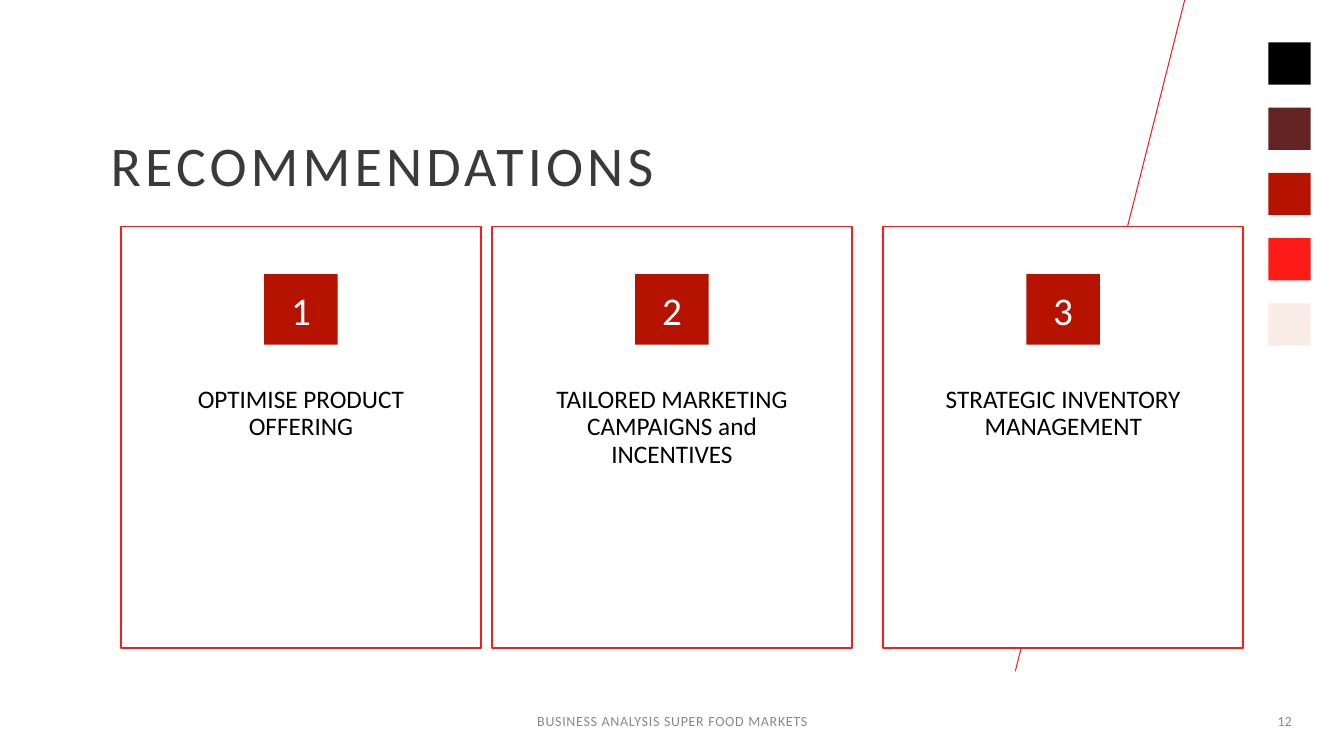
from pptx import Presentation, util as u
from pptx.dml.color import RGBColor
from pptx.enum import shapes, text
from pptx.oxml.ns import qn
from lxml import etree

# Content
TITLE = "RECOMMENDATIONS"
FOOTER = "BUSINESS ANALYSIS SUPER FOOD MARKETS"
PAGE = "12"
CARDS = [  # left edge, text
    (1.2, "OPTIMISE PRODUCT OFFERING"),
    (4.88, "TAILORED MARKETING CAMPAIGNS and INCENTIVES"),
    (8.76, "STRATEGIC INVENTORY MANAGEMENT"),
]
SWATCHES = ["000000", "632423", "B51200", "FD1B17", "F9EBE5"]

# Formats
RED, DARK_RED, WHITE, GREY = "FD1B17", "B51200", "FFFFFF", "898989"
ALIGN = text.PP_ALIGN
TITLE_FORMAT = {"size": 40, "color": "3A3A3A", "tracking": 3, "line_spacing": 0.9}
FOOTER_FORMAT = {"size": 10, "color": GREY, "tracking": 0.5, "alignment": ALIGN.CENTER}
PAGE_FORMAT = {"size": 10, "color": GREY, "alignment": ALIGN.RIGHT}
NUMBER_FORMAT = {"size": 28, "color": WHITE, "alignment": ALIGN.CENTER}
CARD_FORMAT = {"size": 18, "color": "000000", "alignment": ALIGN.CENTER,
               "line_spacing": 0.9, "anchor": text.MSO_ANCHOR.TOP}

# Card layout
CARD_TOP, CARD_WIDTH, CARD_HEIGHT = 2.25, 3.57, 4.18
BADGE_TOP, BADGE_WIDTH, BADGE_HEIGHT = 2.72, 0.73, 0.7
LABEL_TOP, LABEL_WIDTH, LABEL_HEIGHT = 3.79, 2.75, 1.06

presentation = Presentation()
presentation.slide_width = u.Inches(13.33)
presentation.slide_height = u.Inches(7.5)
slide = presentation.slides.add_slide(presentation.slide_layouts[6])


def color(hex_value):
    return RGBColor.from_string(hex_value)


def add_box(left, top, width, height, fill, line=None):
    shape = slide.shapes.add_shape(shapes.MSO_SHAPE.RECTANGLE,
                                   *map(u.Inches, (left, top, width, height)))
    shape.shadow.inherit = False
    shape.fill.solid()
    shape.fill.fore_color.rgb = color(fill)
    if line:
        shape.line.color.rgb = color(line)
        shape.line.width = u.Pt(1)
    else:
        shape.line.fill.background()
    return shape


def write(shape, words, style):
    frame = shape.text_frame
    frame.word_wrap = True
    frame.vertical_anchor = style.get("anchor", text.MSO_ANCHOR.MIDDLE)
    paragraph = frame.paragraphs[0]
    for name in ("alignment", "line_spacing"):
        if name in style:
            setattr(paragraph, name, style[name])
    run = paragraph.add_run()
    run.text = words
    for name, value in {"name": "Calibri", "size": u.Pt(style["size"])}.items():
        setattr(run.font, name, value)
    run.font.color.rgb = color(style["color"])
    if "tracking" in style:
        run.font._element.set("spc", str(int(style["tracking"] * 100)))


def add_text(left, top, width, height, words, style):
    box = slide.shapes.add_textbox(*map(u.Inches, (left, top, width, height)))
    write(box, words, style)


# Color swatches and slanted line
for index, fill in enumerate(SWATCHES):
    add_box(12.58, 0.42 + 0.6475 * index, 0.42, 0.42, fill)
slant = slide.shapes.add_connector(shapes.MSO_CONNECTOR.STRAIGHT,
                                   *map(u.Inches, (11.75, 0, 10.07, 6.66)))
slant.line.color.rgb = color(RED)
slant.line.width = u.Pt(0.75)
etree.SubElement(slant._element.spPr, qn("a:effectLst"))

# Title and footer
add_text(1, 1.08, 10.23, 1.18, TITLE, TITLE_FORMAT)
add_text(4.42, 6.95, 4.5, 0.4, FOOTER, FOOTER_FORMAT)
add_text(11.23, 6.95, 1.68, 0.4, PAGE, PAGE_FORMAT)

# Numbered cards, with badge and label centred
for number, (left, label) in enumerate(CARDS, 1):
    center = left + CARD_WIDTH / 2
    add_box(left, CARD_TOP, CARD_WIDTH, CARD_HEIGHT, WHITE, RED)
    badge = add_box(center - BADGE_WIDTH / 2, BADGE_TOP, BADGE_WIDTH, BADGE_HEIGHT, DARK_RED)
    write(badge, str(number), NUMBER_FORMAT)
    add_text(center - LABEL_WIDTH / 2, LABEL_TOP, LABEL_WIDTH, LABEL_HEIGHT, label, CARD_FORMAT)

presentation.save("out.pptx")
